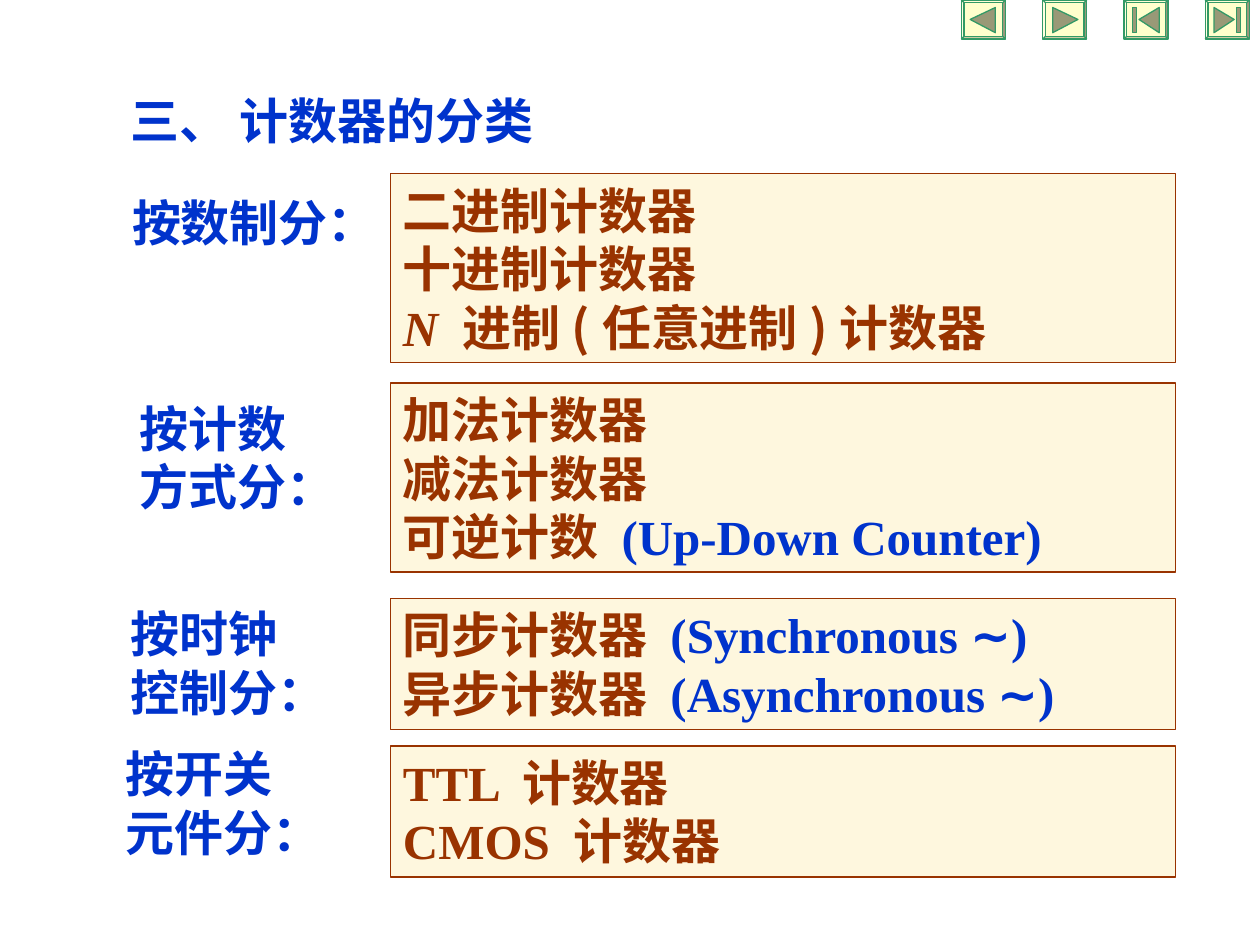
from dataclasses import dataclass

from pptx import Presentation
from pptx.dml.color import RGBColor
from pptx.enum.shapes import MSO_SHAPE
from pptx.enum.text import MSO_ANCHOR, MSO_AUTO_SIZE, PP_ALIGN
from pptx.util import Inches, Pt

RECT = MSO_SHAPE.RECTANGLE
BEVEL = MSO_SHAPE.BEVEL
LEFT = PP_ALIGN.LEFT
TOP = MSO_ANCHOR.TOP
GROW = MSO_AUTO_SIZE.SHAPE_TO_FIT_TEXT


@dataclass(frozen=True)
class Theme:
    blue: str = "0033CC"
    brown: str = "993300"
    cream: str = "FEF7DE"
    key: str = "FFFFCC"
    edge: str = "339966"
    icon: str = "999977"
    serif: str = "Times New Roman"
    sans: str = "Arial"
    cjk: str = "Noto Sans CJK SC"
    size: float = 28
    line: float = 0.75


THEME = Theme()
UNIT = Inches(0.1)
BLUE = {"color": THEME.blue}
SANS = {"color": THEME.blue, "font": THEME.sans}
CJK = {"font": THEME.cjk}
ITALIC = {"italic": True}

LABEL_COL, BOX_COL, BOX_WIDE = 9.4, 31, 62.3
LINE_ROWS, PAD_ROWS = 4.6, 1.2
KEY_COL, KEY_STEP, KEY_WIDE, KEY_HIGH = 76.3, 6.45, 3.5, 3.1

LABELS = [
    (LABEL_COL, 6.7, 47.3, True, ["三、 计数器的分类"]),
    (9.5, 14.8, 21.4, False, ["按数制分："]),
    (10.1, 31.1, 17.5, False, ["按计数", "方式分："]),
    (LABEL_COL, 47.4, 21.9, True, ["按时钟", "控制分："]),
    (9, 58.5, 21.1, True, ["按开关", "元件分："]),
]


def clock(name, term):
    return [(name, {}), (f"({term} ", BLUE), ("∼", SANS), (")", BLUE)]


BOXES = [
    (13.8, ["二进制计数器", "十进制计数器",
            [("N ", ITALIC), ("进制", {}), ("(", CJK), ("任意进制", {}),
             (")", CJK), ("计数器", {})]]),
    (30.4, ["加法计数器", "减法计数器",
            [("可逆计数 ", {}), ("(Up-Down Counter)", BLUE)]]),
    (47.5, [clock("同步计数器 ", "Synchronous"),
            clock("异步计数器 ", "Asynchronous")]),
    (59.2, ["TTL 计数器", "CMOS 计数器"]),
]

ARROW = [(0.7, 1.55), (2.7, 0.6), (2.7, 2.6)]
SKIP = [(1.2, 1.55), (2.8, 0.6), (2.8, 2.6)]
BAR = [(0.7, 0.6), (1, 0.6), (1, 2.6), (0.7, 2.6)]
KEYS = [([ARROW], False), ([ARROW], True),
        ([SKIP, BAR], False), ([SKIP, BAR], True)]


def grid(*cells):
    return [round(cell * UNIT) for cell in cells]


def paint(shape, fill, line):
    shape.shadow.inherit = False
    shape.fill.solid()
    shape.fill.fore_color.rgb = RGBColor.from_string(fill)
    shape.line.color.rgb = RGBColor.from_string(line)
    shape.line.width = Pt(THEME.line)


def style(run, color, font=THEME.serif, italic=False):
    run.font.size = Pt(THEME.size)
    run.font.name = font
    run.font.bold = True
    run.font.italic = italic
    run.font.color.rgb = RGBColor.from_string(color)


def write(shape, lines, color, wrap=True):
    frame = shape.text_frame
    frame.word_wrap = wrap
    frame.auto_size = GROW
    frame.vertical_anchor = TOP
    for index, line in enumerate(lines):
        para = frame.add_paragraph() if index else frame.paragraphs[0]
        para.alignment = LEFT
        parts = [(line, {})] if isinstance(line, str) else line
        for text, look in parts:
            run = para.add_run()
            run.text = text
            style(run, **{"color": color, **look})


def height(lines):
    return PAD_ROWS + LINE_ROWS * len(lines)


def label(slide, col, row, wide, wrap, lines):
    area = grid(col, row, wide, height(lines))
    write(slide.shapes.add_textbox(*area), lines, THEME.blue, wrap)


def box(slide, row, lines):
    area = grid(BOX_COL, row, BOX_WIDE, height(lines))
    shape = slide.shapes.add_shape(RECT, *area)
    paint(shape, THEME.cream, THEME.brown)
    write(shape, lines, THEME.brown)


def button(slide, col, parts, flip):
    base = slide.shapes.add_shape(BEVEL, *grid(col, 0, KEY_WIDE, KEY_HIGH))
    base.adjustments[0] = 0.07
    paint(base, THEME.key, THEME.edge)

    def place(point):
        x, y = point
        return grid(col + (KEY_WIDE - x if flip else x), y)

    first, *rest = [[place(point) for point in part] for part in parts]
    pen = slide.shapes.build_freeform(*first[0])
    pen.add_line_segments(first[1:], close=True)
    for part in rest:
        pen.move_to(*part[0])
        pen.add_line_segments(part[1:], close=True)
    paint(pen.convert_to_shape(), THEME.icon, THEME.edge)


def main():
    deck = Presentation()
    deck.slide_width, deck.slide_height = grid(100, 75)
    slide = deck.slides.add_slide(deck.slide_layouts[6])
    for item in LABELS:
        label(slide, *item)
    for item in BOXES:
        box(slide, *item)
    for index, item in enumerate(KEYS):
        button(slide, KEY_COL + index * KEY_STEP, *item)
    deck.save("out.pptx")


if __name__ == "__main__":
    main()
